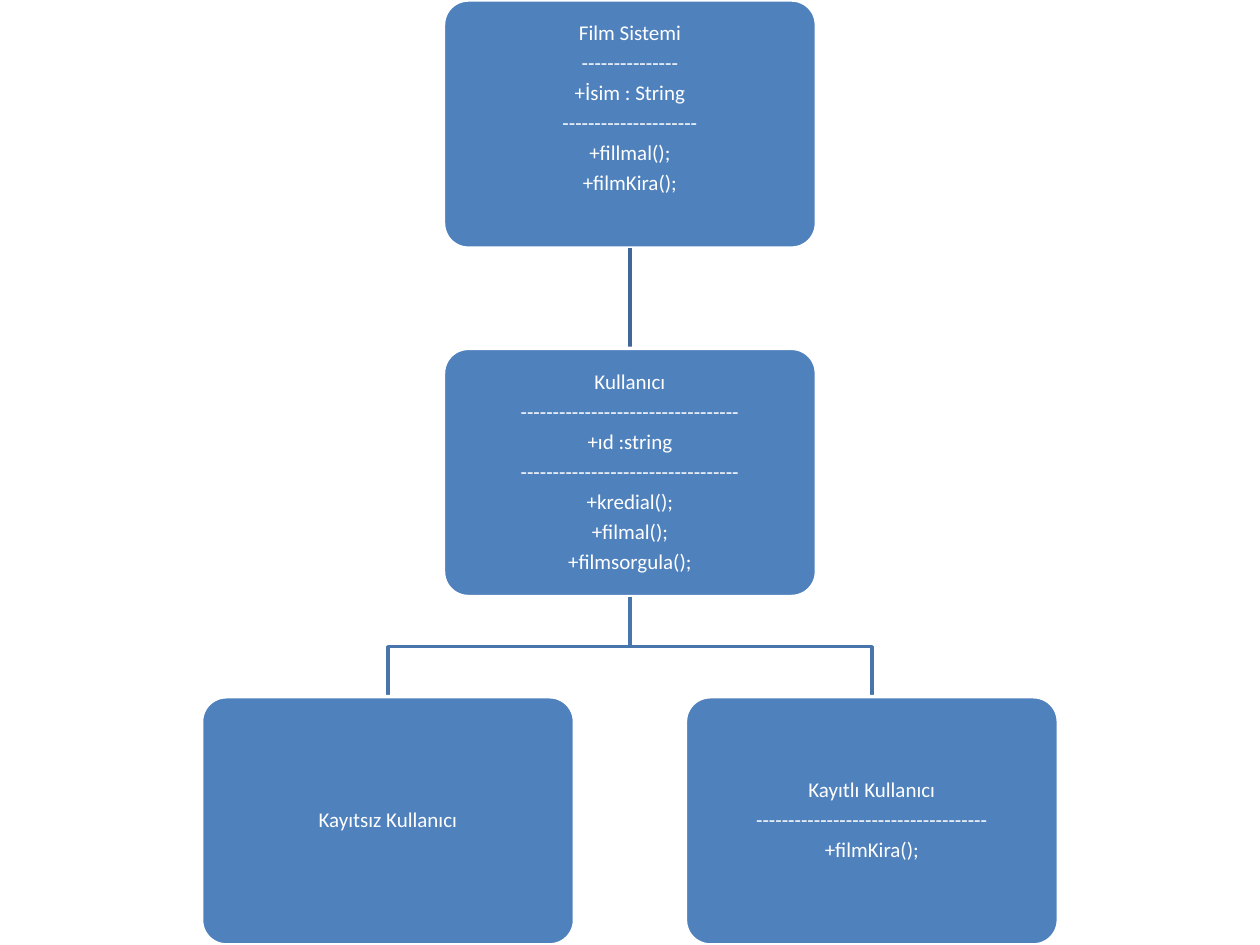
from pptx import Presentation
from pptx.dml.color import RGBColor
from pptx.enum.shapes import MSO_CONNECTOR as Connector, MSO_SHAPE as Shape
from pptx.enum.text import MSO_ANCHOR as Anchor, PP_ALIGN as Align
from pptx.util import Inches, Pt
from lxml.etree import SubElement
from pptx.oxml.ns import qn

COLORS = {"box": "4F81BD", "white": "FFFFFF", "trunk": "3F6797", "branch": "4875AC"}

SLIDE_WIDTH, SLIDE_HEIGHT = 10, 7.5
ROWS = 3
BOX_WIDTH, BOX_HEIGHT = 2.96, 1.97
ROW_GAP = (SLIDE_HEIGHT - ROWS * BOX_HEIGHT) / (ROWS - 1)
ROW_STEP = BOX_HEIGHT + ROW_GAP
COLUMN_STEP = 1.92  # half the distance between sibling boxes


class ClassDiagram:
    """Boxes and links on a grid; column 0 is the middle of the slide."""

    font_name, font_size = "Calibri", 12
    line_width, inset = 2, 0.05
    line_height = 0.24

    def __init__(self, slide):
        self.slide = slide

    def center(self, column):
        return SLIDE_WIDTH / 2 + column * COLUMN_STEP

    def style_line(self, shape, color):
        shape.line.color.rgb = RGBColor.from_string(COLORS[color])
        shape.line.width = Pt(self.line_width)

    def box(self, column, row, lines, free_lines=0):
        """free_lines keeps room for that many lines below the text."""
        shape = self.slide.shapes.add_shape(
            Shape.ROUNDED_RECTANGLE,
            Inches(self.center(column) - BOX_WIDTH / 2), Inches(row * ROW_STEP),
            Inches(BOX_WIDTH), Inches(BOX_HEIGHT))
        shape.adjustments[0] = 0.1
        shape.shadow.inherit = False
        shape.fill.solid()
        shape.fill.fore_color.rgb = RGBColor.from_string(COLORS["box"])
        self.style_line(shape, "white")

        frame = shape.text_frame
        frame.word_wrap = True
        frame.vertical_anchor = Anchor.MIDDLE
        frame.margin_left = frame.margin_right = frame.margin_top = Inches(self.inset)
        frame.margin_bottom = Inches(self.inset + free_lines * self.line_height)
        for index, line in enumerate(lines):
            paragraph = frame.add_paragraph() if index else frame.paragraphs[0]
            paragraph.alignment = Align.CENTER
            paragraph.line_spacing = 0.9
            paragraph.space_after = Pt(0.35 * self.font_size)
            run = paragraph.add_run()
            run.text = line
            run.font.name = self.font_name
            run.font.size = Pt(self.font_size)
            run.font.color.rgb = RGBColor.from_string(COLORS["white"])

    def trunk(self, row):
        """Straight link from a box to the one below it."""
        x, bottom = self.center(0), (row + 1) * ROW_STEP
        link = self.slide.shapes.add_connector(
            Connector.STRAIGHT,
            Inches(x), Inches(bottom - ROW_GAP), Inches(x), Inches(bottom))
        SubElement(link._element.spPr, qn("a:effectLst"))
        self.style_line(link, "trunk")

    def branch(self, column, row):
        """Bent link from the middle box to a box one row down."""
        start, end = Inches(self.center(0)), Inches(self.center(column))
        bottom = (row + 1) * ROW_STEP
        top, middle = Inches(bottom - ROW_GAP), Inches(bottom - ROW_GAP / 2)
        builder = self.slide.shapes.build_freeform(start, top)
        builder.add_line_segments(
            [(start, middle), (end, middle), (end, Inches(bottom))], close=False)
        link = builder.convert_to_shape()
        link.shadow.inherit = False
        link.fill.background()
        self.style_line(link, "branch")


presentation = Presentation()
presentation.slide_width = Inches(SLIDE_WIDTH)
presentation.slide_height = Inches(SLIDE_HEIGHT)
diagram = ClassDiagram(presentation.slides.add_slide(presentation.slide_layouts[6]))

# Film system and user
diagram.box(0, 0, ["Film Sistemi", "-" * 15, "+İsim : String", "-" * 21,
                   "+fillmal();", "+filmKira();"], free_lines=1)
diagram.trunk(0)
diagram.box(0, 1, ["Kullanıcı", "-" * 34, "+ıd :string", "-" * 34,
                   "+kredial();", "+filmal();", "+filmsorgula();"])

# Kinds of user
user_kinds = {
    -1: ["Kayıtsız Kullanıcı"],
    1: ["Kayıtlı Kullanıcı", "-" * 36, "+filmKira();"],
}
for column, lines in user_kinds.items():
    diagram.branch(column, 1)
    diagram.box(column, 2, lines)

presentation.save("out.pptx")
